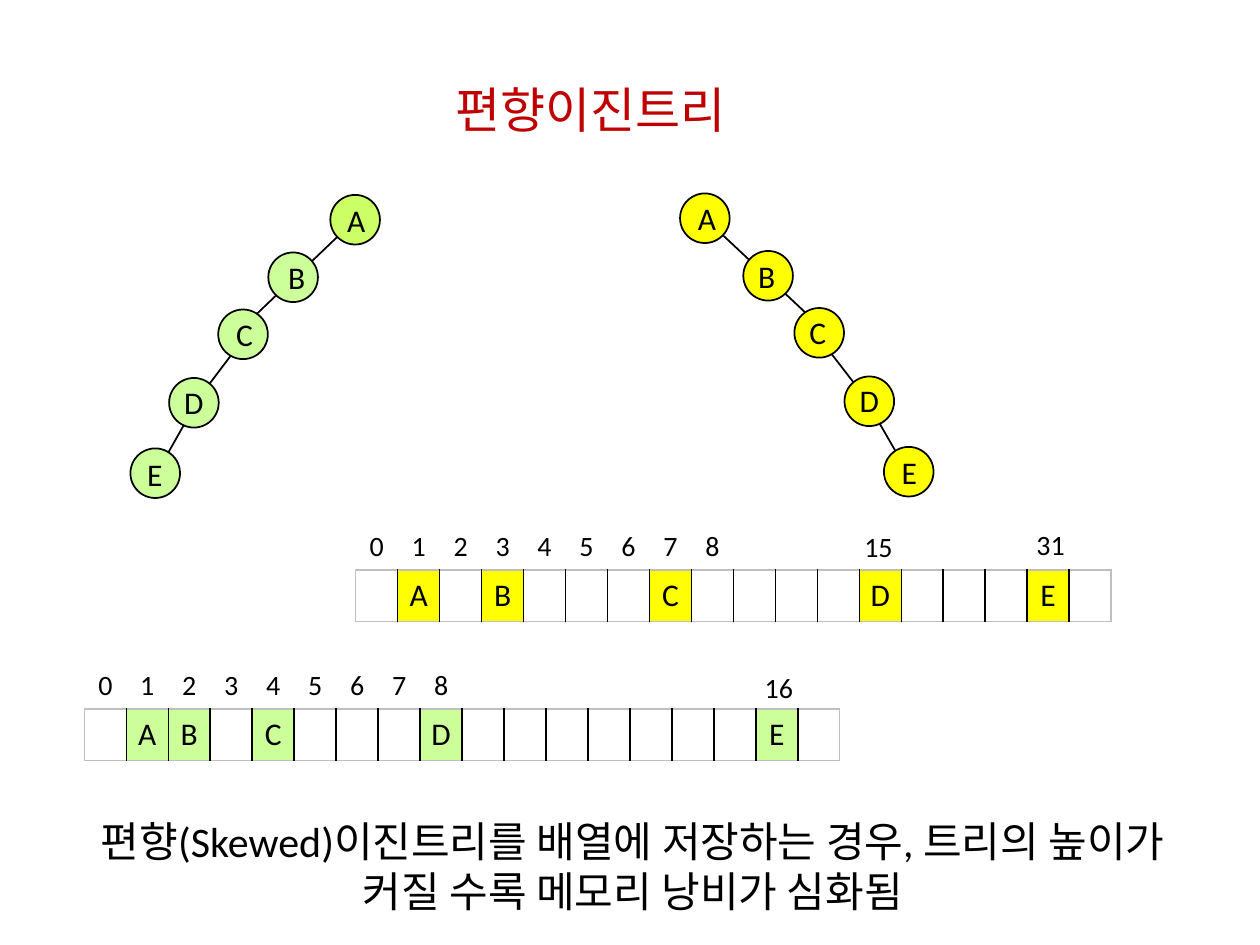
from dataclasses import dataclass

from lxml import etree
from pptx import Presentation
from pptx.dml.color import RGBColor
from pptx.enum.shapes import MSO_CONNECTOR, MSO_SHAPE
from pptx.enum.text import MSO_ANCHOR, MSO_AUTO_SIZE, PP_ALIGN
from pptx.oxml.ns import qn
from pptx.util import Cm, Pt

LINE = MSO_CONNECTOR.STRAIGHT
OVAL = MSO_SHAPE.OVAL
TOP, MIDDLE = MSO_ANCHOR.TOP, MSO_ANCHOR.MIDDLE
LEFT, CENTER = PP_ALIGN.LEFT, PP_ALIGN.CENTER
GROW = MSO_AUTO_SIZE.SHAPE_TO_FIT_TEXT
PLAIN = "{2D5ABB26-0587-4C30-8999-92F81FD0307C}"  # table style without grid


@dataclass(frozen=True)
class Theme:
    font: str = "Calibri"
    ink: str = "000000"
    red: str = "C00000"
    gray: str = "BFBFBF"
    lime: str = "CCFF66"
    green: str = "CCFF99"
    yellow: str = "FFFF00"
    head: int = 28
    body: int = 24
    node: int = 18
    index: int = 16
    rule: int = 1


THEME = Theme()

# Left tree: circle centre, label centre and label width, in cm
NODES = [
    ("A", 7.16, 4.43, 7.15, 4.43, 0.8),
    ("B", 5.91, 5.59, 5.96, 5.59, 0.8),
    ("C", 4.9, 6.74, 4.93, 6.73, 0.97),
    ("D", 3.91, 8.12, 3.91, 8.1, 0.97),
    ("E", 3.13, 9.54, 3.12, 9.55, 0.97),
]
EDGES = [
    (4.01, 8.03, 3.18, 9.5),
    (4.85, 6.91, 3.91, 8.15),
    (7.14, 4.45, 4.6, 6.88),
]
COLS, WIDE, HIGH = 18, 15.24, 1.04
DIAM = 1.0


def mirror(x):
    """Place of x in the right tree."""
    return 14.22 + 1.02 * (7.15 - x)


def write(frame, text, size, color=THEME.ink, align=CENTER):
    para = frame.paragraphs[0]
    para.alignment = align
    run = para.add_run()
    run.text = text
    run.font.name = THEME.font
    run.font.size = Pt(size)
    run.font.color.rgb = RGBColor.from_string(color)


def add_text(slide, box, text, size, color=THEME.ink, align=CENTER,
             anchor=TOP, wrap=True, inset=0.25):
    frame = slide.shapes.add_textbox(*map(Cm, box)).text_frame
    frame.word_wrap = wrap
    frame.auto_size = GROW
    frame.vertical_anchor = anchor
    frame.margin_left = frame.margin_right = Cm(inset)
    write(frame, text, size, color, align)


def add_line(slide, ends):
    line = slide.shapes.add_connector(LINE, *map(Cm, ends))
    line.line.color.rgb = RGBColor.from_string(THEME.ink)
    line.line.width = Pt(THEME.rule)
    etree.SubElement(line._element.spPr, qn("a:effectLst"))


def add_disk(slide, x, y, color):
    disk = slide.shapes.add_shape(
        OVAL, Cm(x - DIAM / 2), Cm(y - DIAM / 2), Cm(DIAM), Cm(DIAM))
    disk.shadow.inherit = False
    disk.fill.solid()
    disk.fill.fore_color.rgb = RGBColor.from_string(color)
    disk.line.color.rgb = RGBColor.from_string(THEME.ink)
    disk.line.width = Pt(THEME.rule)


def add_tree(slide, place, lift, colors):
    for x1, y1, x2, y2 in EDGES:
        add_line(slide, (place(x1), y1 - lift, place(x2), y2 - lift))
    for (_, x, y, *_), color in zip(NODES, colors):
        add_disk(slide, place(x), y - lift, color)
    for name, _, _, x, y, wide in NODES:
        box = (place(x) - wide / 2, y - lift - 0.51, wide, 1.02)
        add_text(slide, box, name, THEME.node, anchor=MIDDLE)


def set_edges(cell, col):
    """Gray frame around the row, black rules between its cells."""
    left = THEME.gray if col == 0 else THEME.ink
    right = THEME.gray if col == COLS - 1 else THEME.ink
    sides = (("L", left), ("R", right), ("T", THEME.gray), ("B", THEME.gray))
    props = cell._tc.get_or_add_tcPr()
    for spot, (side, color) in enumerate(sides):
        edge = etree.Element(qn("a:ln" + side), w=str(Pt(THEME.rule)))
        fill = etree.SubElement(edge, qn("a:solidFill"))
        etree.SubElement(fill, qn("a:srgbClr"), val=color)
        props.insert(spot, edge)


def add_row(slide, x, y, items, size, color=None):
    """One-row table; a color gives filled cells and borders."""
    table = slide.shapes.add_table(
        1, COLS, Cm(x), Cm(y), Cm(WIDE), Cm(HIGH)).table
    table.first_row = table.horz_banding = False
    table._tbl.tblPr.find(qn("a:tableStyleId")).text = PLAIN
    for col in range(COLS):
        cell = table.cell(0, col)
        cell.margin_left = cell.margin_right = 0
        cell.vertical_anchor = MIDDLE
        cell.fill.background()
        if col in items:
            write(cell.text_frame, items[col], size)
            if color:
                cell.fill.solid()
                cell.fill.fore_color.rgb = RGBColor.from_string(color)
        if color:
            set_edges(cell, col)


def add_array(slide, x, y, spots, color, marks):
    names = [node[0] for node in NODES]
    add_row(slide, x, y, dict(zip(spots, names)), THEME.node, color)
    add_row(slide, x, y - 0.99, {n: str(n) for n in range(9)}, THEME.index)
    for text, left, top in marks:
        add_text(slide, (left, top, 1.22, 0.94), text, THEME.index,
                 anchor=MIDDLE)


def main():
    deck = Presentation()
    deck.slide_width, deck.slide_height = Cm(25.4), Cm(19.05)
    slide = deck.slides.add_slide(deck.slide_layouts[6])

    # Title
    add_text(slide, (8.94, 1.47, 6.5, 1.45), "편향이진트리", THEME.head,
             THEME.red, LEFT, wrap=False)

    # Left-skewed tree and its array
    add_tree(slide, lambda x: x, 0, [THEME.lime] + [THEME.green] * 4)
    add_array(slide, 1.7, 14.29, (1, 2, 4, 8, 16), THEME.green,
              [("16", 15.09, 13.39)])

    # Right-skewed tree and its array
    add_tree(slide, mirror, 0.03, [THEME.yellow] * 5)
    add_array(slide, 7.17, 11.49, (1, 3, 7, 12, 16), THEME.yellow,
              [("15", 17.1, 10.54), ("31", 20.57, 10.5)])

    # Conclusion
    add_text(slide, (1.3, 16.31, 22.91, 2.31),
             "편향(Skewed)이진트리를 배열에 저장하는 경우, "
             "트리의 높이가 커질 수록 메모리 낭비가 심화됨", THEME.body,
             inset=0.6)

    deck.save("out.pptx")


if __name__ == "__main__":
    main()
